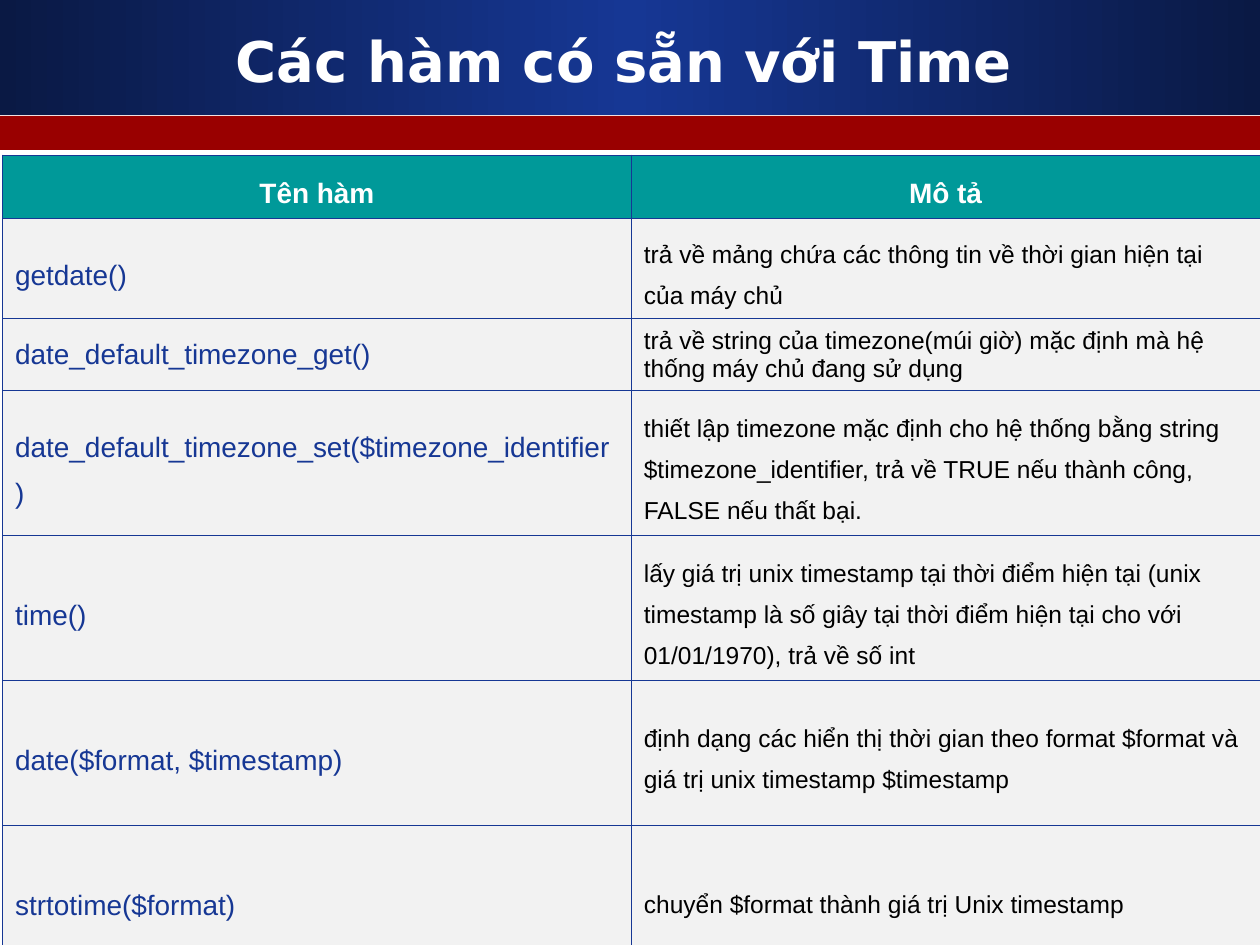
from copy import deepcopy

from lxml import etree
from pptx import Presentation
from pptx.dml.color import RGBColor
from pptx.enum.shapes import MSO_SHAPE
from pptx.enum.text import MSO_ANCHOR, PP_ALIGN
from pptx.oxml.ns import qn
from pptx.util import Inches, Pt

RECTANGLE = MSO_SHAPE.RECTANGLE
MIDDLE = MSO_ANCHOR.MIDDLE
CENTER = PP_ALIGN.CENTER
LEFT = PP_ALIGN.LEFT

COLORS = {
    "navy": "0A1944",
    "blue": "163794",
    "red": "990000",
    "teal": "009999",
    "gray": "F2F2F2",
    "white": "FFFFFF",
    "black": "000000",
}

HEADINGS = ("Tên hàm", "Mô tả")
FUNCTIONS = [
    ("getdate()", "trả về mảng chứa các thông tin về thời gian hiện tại của máy chủ"),
    ("date_default_timezone_get()",
     "trả về string của timezone(múi giờ) mặc định mà hệ thống máy chủ đang sử dụng"),
    ("date_default_timezone_set($timezone_identifier)",
     "thiết lập timezone mặc định cho hệ thống bằng string $timezone_identifier, "
     "trả về TRUE nếu thành công, FALSE nếu thất bại."),
    ("time()",
     "lấy giá trị unix timestamp tại thời điểm hiện tại (unix timestamp là số giây "
     "tại thời điểm hiện tại cho với 01/01/1970), trả về số int"),
    ("date($format, $timestamp)",
     "định dạng các hiển thị thời gian theo format $format và giá trị unix timestamp $timestamp"),
    ("strtotime($format)", "chuyển $format thành giá trị Unix timestamp"),
]
ROW_HEIGHTS = [0.5, 0.8, 0.57] + [1.15] * 4
COLUMN_WIDTH = 4.99
COMPACT_ROW = 2


def rgb(name):
    return RGBColor.from_string(COLORS[name])


def add_band(slide, top, height):
    band = slide.shapes.add_shape(RECTANGLE, 0, Inches(top), Inches(10), Inches(height))
    band.shadow.inherit = False
    band.line.fill.background()
    return band


def fill_gradient(band, names):
    band.fill.gradient()
    band.fill.gradient_angle = 0
    first, last = band.fill._fill._gradFill.gsLst
    first.addnext(deepcopy(first))
    for index, (stop, name) in enumerate(zip(band.fill.gradient_stops, names)):
        stop.position = index / (len(names) - 1)
        stop.color.rgb = rgb(name)


def write_text(frame, text, size, color, font, bold=False, align=LEFT, spacing=None):
    frame.text = text
    paragraph = frame.paragraphs[0]
    paragraph.alignment = align
    paragraph.line_spacing = spacing
    style = paragraph.runs[0].font
    style.name = font
    style.size = Pt(size)
    style.bold = bold
    style.color.rgb = rgb(color)


def add_title(slide, text):
    title = slide.shapes.add_textbox(Inches(0.33), Inches(0.17), Inches(9.25), Inches(0.62))
    frame = title.text_frame
    frame.word_wrap = True
    frame.vertical_anchor = MIDDLE
    write_text(frame, text, 32, "white", "DejaVu Sans", bold=True, align=CENTER)


def set_borders(cell, color, width):
    properties = cell._tc.get_or_add_tcPr()
    for side in ("lnL", "lnR", "lnT", "lnB"):
        line = etree.SubElement(properties, qn(f"a:{side}"), w=str(Pt(width)))
        solid = etree.SubElement(line, qn("a:solidFill"))
        etree.SubElement(solid, qn("a:srgbClr"), val=COLORS[color])


def fill_cell(cell, text, background, **style):
    cell.vertical_anchor = MIDDLE
    set_borders(cell, "blue", 0.45)
    cell.fill.solid()
    cell.fill.fore_color.rgb = rgb(background)
    write_text(cell.text_frame, text, font="Arial", **style)


def add_function_table(slide):
    table = slide.shapes.add_table(
        len(ROW_HEIGHTS), len(HEADINGS), Inches(0.02), Inches(1.23),
        Inches(COLUMN_WIDTH * len(HEADINGS)), Inches(sum(ROW_HEIGHTS))).table
    for column in table.columns:
        column.width = Inches(COLUMN_WIDTH)
    for row, height in zip(table.rows, ROW_HEIGHTS):
        row.height = Inches(height)

    for column, heading in enumerate(HEADINGS):
        fill_cell(table.cell(0, column), heading, "teal", size=16, color="white",
                  bold=True, align=CENTER, spacing=1.5)
    for row, (name, description) in enumerate(FUNCTIONS, start=1):
        spacing = None if row == COMPACT_ROW else 1.5
        fill_cell(table.cell(row, 0), name, "gray", size=16, color="blue", spacing=spacing)
        fill_cell(table.cell(row, 1), description, "gray", size=14, color="black",
                  spacing=spacing)


def main():
    presentation = Presentation()
    presentation.slide_width = Inches(10)
    presentation.slide_height = Inches(7.5)
    slide = presentation.slides.add_slide(presentation.slide_layouts[6])

    fill_gradient(add_band(slide, 0, 0.91), ("navy", "blue", "navy"))
    stripe = add_band(slide, 0.92, 0.27)
    stripe.fill.solid()
    stripe.fill.fore_color.rgb = rgb("red")
    add_title(slide, "Các hàm có sẵn với Time")
    add_function_table(slide)

    presentation.save("out.pptx")


if __name__ == "__main__":
    main()
